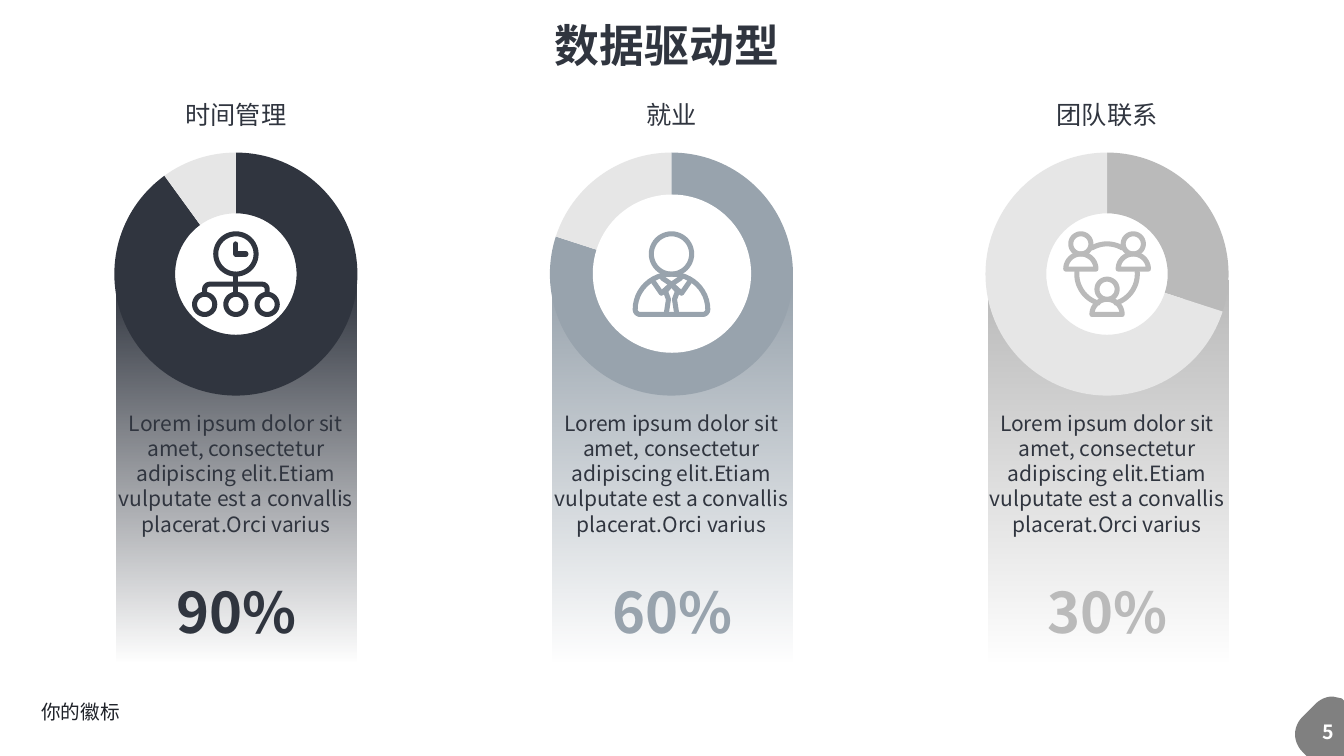
from math import cos, radians, sin

from lxml import etree
from pptx import Presentation
from pptx.chart.data import CategoryChartData
from pptx.dml.color import RGBColor
from pptx.enum.chart import XL_CHART_TYPE
from pptx.enum.shapes import MSO_SHAPE
from pptx.enum.text import MSO_AUTO_SIZE, PP_ALIGN
from pptx.oxml.ns import qn
from pptx.util import Inches, Pt

DOUGHNUT = XL_CHART_TYPE.DOUGHNUT
OVAL, RECTANGLE = MSO_SHAPE.OVAL, MSO_SHAPE.RECTANGLE
LEFT, CENTER = PP_ALIGN.LEFT, PP_ALIGN.CENTER
GROW = MSO_AUTO_SIZE.SHAPE_TO_FIT_TEXT

FONT = "Noto Sans CJK SC"
INK = RGBColor(0x30, 0x35, 0x3F)
STEEL = RGBColor(0x98, 0xA3, 0xAD)
SILVER = RGBColor(0xBA, 0xBA, 0xBA)
PALE = RGBColor(0xE6, 0xE6, 0xE6)
GRAY = RGBColor(0x80, 0x80, 0x80)
FOOTER = RGBColor(0x1F, 0x22, 0x29)
WHITE = RGBColor(0xFF, 0xFF, 0xFF)
BLACK = RGBColor(0, 0, 0)

BODY = ("Lorem ipsum dolor sit amet, consectetur adipiscing elit."
        "Etiam vulputate est a convallis placerat.Orci varius")
COLUMN_WIDTH = 2.38
COLUMN_PITCH = 4.32


def add_text(page, box, text, size, color, bold=False, align=CENTER, wrap=True):
    frame = page.shapes.add_textbox(*map(Inches, box)).text_frame
    frame.margin_left = frame.margin_right = frame.margin_top = frame.margin_bottom = 0
    frame.word_wrap = wrap
    frame.auto_size = GROW
    para = frame.paragraphs[0]
    para.text = text
    para.alignment = align
    font = para.font
    font.name, font.size, font.bold = FONT, Pt(size), bold
    font.color.rgb = color


def add_filled(page, kind, box, color):
    shape = page.shapes.add_shape(kind, *map(Inches, box))
    shape.shadow.inherit = False
    shape.line.fill.background()
    shape.fill.solid()
    shape.fill.fore_color.rgb = color
    return shape


def add_outline(page, open_paths, closed_paths=()):
    paths = [(False, path) for path in open_paths] + [(True, path) for path in closed_paths]
    builder = None
    for closed, points in paths:
        start, *rest = [(Inches(x), Inches(y)) for x, y in points]
        if builder is None:
            builder = page.shapes.build_freeform(*start)
        else:
            builder.move_to(*start)
        builder.add_line_segments(rest, close=closed)
    shape = builder.convert_to_shape()
    shape.shadow.inherit = False
    return shape


def arc(x, y, rx, ry, start, end, steps=24):
    angles = [radians(start + (end - start) * i / steps) for i in range(steps + 1)]
    return [(x + rx * cos(a), y + ry * sin(a)) for a in angles]


def circle(x, y, radius):
    return arc(x, y, radius, radius, 0, 360, 48)


def curve(p0, p1, p2, p3, steps=12):
    return [tuple((1 - t) ** 3 * a + 3 * t * (1 - t) ** 2 * b + 3 * t * t * (1 - t) * c + t ** 3 * d
                  for a, b, c, d in zip(p0, p1, p2, p3))
            for t in (i / steps for i in range(steps + 1))]


def draw_icon(page, x, y, color, strokes, loops=()):
    moved = [[[(x + px, y + py) for px, py in points] for points in paths]
             for paths in (strokes, loops)]
    shape = add_outline(page, *moved)
    shape.fill.background()
    shape.line.color.rgb = color
    shape.line.width = Pt(3.6)
    line = shape.line._get_or_add_ln()
    line.set("cap", "rnd")
    etree.SubElement(line, qn("a:round"))


def draw_time_icon(page, x, y, color):
    circles = [circle(0, -0.2, 0.2)] + [circle(dx, 0.3, 0.1) for dx in (-0.31, 0, 0.31)]
    bracket = ([(-0.31, 0.2)] + arc(-0.26, 0.15, 0.05, 0.05, 180, 270)
               + arc(0.26, 0.15, 0.05, 0.05, 270, 360) + [(0.31, 0.2)])
    draw_icon(page, x, y, color, [[(0, -0.3), (0, -0.2), (0.1, -0.2)]])
    draw_icon(page, x, y, color, [[(0, 0), (0, 0.2)], bracket], circles)


def draw_person_icon(page, x, y, color):
    torso = (arc(0, 0.35, 0.36, 0.35, 180, 360) + arc(0.31, 0.35, 0.05, 0.05, 0, 90)
             + arc(-0.31, 0.35, 0.05, 0.05, 90, 180))
    lapels = [(-0.19, 0.06), (-0.1, 0.19), (0, 0.1), (0.1, 0.19), (0.19, 0.06)]
    collar = [(-0.09, 0.04), (0, 0.1), (0.09, 0.04)]
    tie = [[(side * dx, dy) for dx, dy in ((0, 0.1), (0.06, 0.17), (0.03, 0.25), (0.05, 0.38))]
           for side in (-1, 1)]
    draw_icon(page, x, y, color, [lapels, collar] + tie, [circle(0, -0.2, 0.2), torso])


def draw_team_icon(page, x, y, color):
    heads = [(-0.26, -0.3), (0.26, -0.3), (0, 0.15)]
    circles = [circle(hx, hy, 0.1) for hx, hy in heads]
    bodies = [arc(hx, hy + 0.25, 0.15, 0.15, 180, 360) for hx, hy in heads]
    links = [arc(0, 0, 0.3, 0.3, *span) for span in ((240, 300), (107, 184), (-4, 73))]
    draw_icon(page, x, y, color, links, circles + bodies)


def add_fade(page, box, color):
    shape = add_filled(page, RECTANGLE, box, color)
    shape.fill.gradient()
    shape.fill.gradient_angle = 270
    for stop, position in zip(shape.fill.gradient_stops, (0, 1)):
        stop.color.rgb = color
        stop.position = position
    last = shape._element.findall(".//" + qn("a:gs"))[-1]
    etree.SubElement(last[0], qn("a:alpha"), val="0")


def add_ring(page, box, share, color):
    data = CategoryChartData()
    data.categories = ["1", "2"]
    data.add_series("Series 1", (share, 100 - share))
    chart = page.shapes.add_chart(DOUGHNUT, *map(Inches, box), data).chart
    chart.has_title = chart.has_legend = False
    chart.font.name, chart.font.size = FONT, Pt(10)
    chart.font.color.rgb = BLACK
    plot = chart.plots[0]
    plot.vary_by_categories = True
    for index, slice_color in enumerate((color, PALE)):
        point = plot.series[0].points[index].format
        point.fill.solid()
        point.fill.fore_color.rgb = slice_color
        point.line.fill.background()
    root = chart._chartSpace
    root.find(".//" + qn("c:holeSize")).set("val", "65")
    area = root.find(".//" + qn("c:plotArea"))
    for old in area.findall(qn("c:layout")):
        area.remove(old)
    layout = etree.Element(qn("c:layout"))
    area.insert(0, layout)
    manual = etree.SubElement(layout, qn("c:manualLayout"))
    for name, value in (("layoutTarget", "inner"), ("xMode", "edge"), ("yMode", "edge"),
                        ("x", "0.2"), ("y", "0.05"), ("w", "0.6"), ("h", "0.9")):
        etree.SubElement(manual, qn("c:" + name), val=value)


def add_column(page, left, top, heading, share, percent, color, draw, disc_on_top):
    middle = left + COLUMN_WIDTH / 2 - 0.01
    center_y = top + 1.73
    disc = (middle - 0.78, center_y - 0.79, 1.57, 1.57)
    add_text(page, (middle - 1.53, top, 3.06, 0.3), heading, 18, INK)
    add_fade(page, (left, top + 1.79, COLUMN_WIDTH, 3.8), color)
    if not disc_on_top:
        add_filled(page, OVAL, disc, WHITE)
    add_ring(page, (middle - 2.01, top + 0.39, 4.02, 2.68), share, color)
    if disc_on_top:
        add_filled(page, OVAL, disc, WHITE)
    draw(page, middle, center_y, color)
    add_text(page, (middle - 1.18, top + 3.08, 2.36, 1.51), BODY, 15, INK)
    add_text(page, (middle - 0.68, top + 4.74, 1.37, 0.67), percent, 40, color, bold=True)


def add_footer(page, right, bottom):
    x, y = right - 0.41, bottom - 0.39
    badge = (curve((x + 0.12, y - 0.12), (x + 0.17, y - 0.17), (x + 0.23, y - 0.2), (x + 0.3, y - 0.2))
             + [(x + 0.39, y - 0.18), (right, y - 0.16), (right, bottom), (x + 0.04, bottom)]
             + curve((x, y + 0.35), (x - 0.1, y + 0.25), (x - 0.1, y + 0.1), (x, y)))
    shape = add_outline(page, [], [badge])
    shape.fill.solid()
    shape.fill.fore_color.rgb = GRAY
    shape.line.fill.background()
    add_text(page, (right - 0.21, bottom - 0.36, 0.12, 0.24), "5", 14, WHITE, True, LEFT, False)
    add_text(page, (0.41, bottom - 0.56, 0.79, 0.24), "你的徽标", 14, FOOTER, False, LEFT, False)


def main():
    deck = Presentation()
    deck.slide_width, deck.slide_height = Inches(13.33), Inches(7.5)
    page = deck.slides.add_slide(deck.slide_layouts[6])
    add_footer(page, 13.33, 7.5)
    columns = [("时间管理", 90, "90%", INK, draw_time_icon, False),
               ("就业", 80, "60%", STEEL, draw_person_icon, True),
               ("团队联系", 30, "30%", SILVER, draw_team_icon, False)]
    for index, column in enumerate(columns):
        add_column(page, 1.16 + index * COLUMN_PITCH, 0.99, *column)
    add_text(page, (5.48, 0.18, 2.37, 0.54), "数据驱动型 ", 32, INK, bold=True, wrap=False)
    deck.save("out.pptx")


if __name__ == "__main__":
    main()
